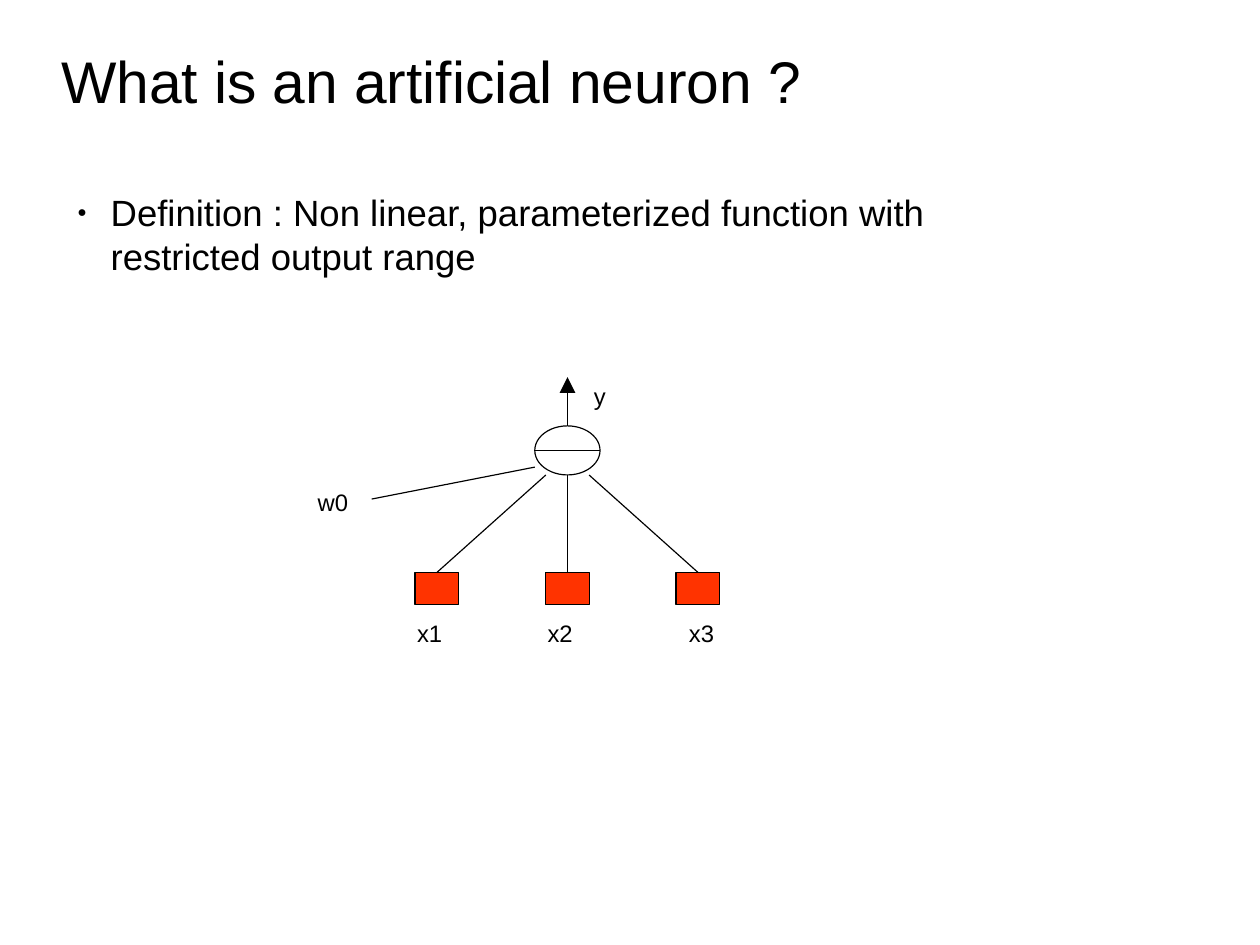
import pptx
import pptx.util
import pptx.dml.color
import pptx.enum.shapes
import pptx.enum.text
import pptx.oxml

Cm = pptx.util.Cm
Pt = pptx.util.Pt
MSO_SHAPE = pptx.enum.shapes.MSO_SHAPE
ANCHOR = pptx.enum.text.MSO_ANCHOR
BLACK = pptx.dml.color.RGBColor(0x00, 0x00, 0x00)
ORANGE_RED = pptx.dml.color.RGBColor(0xFF, 0x33, 0x00)
NS = 'xmlns:a="http://schemas.openxmlformats.org/drawingml/2006/main"'

TITLE = "What is an artificial neuron ?"
DEFINITION = "Definition : Non linear, parameterized function with restricted output range"
INPUTS = [("x1", 9.07), ("x2", 11.97), ("x3", 15.11)]
BIAS = ("w0", 6.86, 10.73, 1.52)
OUTPUT = ("y", 13.0, 8.38, 0.91)

CENTER_X, CENTER_Y = 12.61, 10.01
NEURON_W, NEURON_H = 1.45, 1.09
INPUT_W, INPUT_H, INPUT_TOP = 0.97, 0.72, 12.72
INPUT_STEP, ROOT_STEP = 2.9, 0.48
LABEL_TOP, LABEL_W, LABEL_H = 13.64, 1.32, 0.84

deck = pptx.Presentation()
deck.slide_width, deck.slide_height = Cm(28), Cm(21)
slide = deck.slides.add_slide(deck.slide_layouts[6])


def write(text, left, top, width, height, size, anchor=ANCHOR.TOP, wrap=True):
    box = slide.shapes.add_textbox(Cm(left), Cm(top), Cm(width), Cm(height))
    frame = box.text_frame
    frame.word_wrap = wrap
    frame.vertical_anchor = anchor
    frame.margin_left = frame.margin_right = Cm(0.2)
    frame.margin_top = frame.margin_bottom = Cm(0.1)
    paragraph = frame.paragraphs[0]
    run = paragraph.add_run()
    run.text = text
    run.font.name = "Arial"
    run.font.size = Pt(size)
    run.font.color.rgb = BLACK
    return paragraph


def add_bullet(paragraph):
    props = paragraph._p.get_or_add_pPr()
    props.set("marL", str(Cm(0.99)))
    props.set("indent", str(Cm(-0.74)))
    for tag in ('buClr {}><a:srgbClr val="000000"/></a:buClr>',
                'buSzPct {} val="43000"/>',
                'buFont {} typeface="Arial"/>',
                'buChar {} char="●"/>'):
        props.append(pptx.oxml.parse_xml("<a:" + tag.format(NS)))


def draw(kind, left, top, width, height, fill=None):
    shape = slide.shapes.add_shape(kind, Cm(left), Cm(top), Cm(width), Cm(height))
    shape.shadow.inherit = False
    if fill is None:
        shape.fill.background()
    else:
        shape.fill.solid()
        shape.fill.fore_color.rgb = fill
    shape.line.color.rgb = BLACK
    shape.line.width = Pt(0.75)
    return shape


def link(x1, y1, x2, y2, arrow=False):
    line = slide.shapes.add_connector(
        pptx.enum.shapes.MSO_CONNECTOR.STRAIGHT, Cm(x1), Cm(y1), Cm(x2), Cm(y2))
    line.line.color.rgb = BLACK
    line.line.width = Pt(0.75)
    if arrow:
        line.line._get_or_add_ln().append(
            pptx.oxml.parse_xml(f'<a:tailEnd {NS} type="triangle" w="lg" len="lg"/>'))
    line._element.spPr.append(pptx.oxml.parse_xml(f"<a:effectLst {NS}/>"))
    return line


write(TITLE, 1.16, 0.36, 22.86, 2.84, 37, ANCHOR.MIDDLE)
add_bullet(write(DEFINITION, 1.27, 4.13, 22.23, 2.87, 23))

neuron_left = CENTER_X - NEURON_W / 2
neuron_right = CENTER_X + NEURON_W / 2
neuron_top = CENTER_Y - NEURON_H / 2
neuron_bottom = CENTER_Y + NEURON_H / 2
draw(MSO_SHAPE.OVAL, neuron_left, neuron_top, NEURON_W, NEURON_H)

for index, (name, label_left) in enumerate(INPUTS):
    offset = index - 1
    x = CENTER_X + offset * INPUT_STEP
    square = draw(MSO_SHAPE.RECTANGLE, x - INPUT_W / 2, INPUT_TOP,
                  INPUT_W, INPUT_H, ORANGE_RED)
    synapse = link(x, INPUT_TOP, CENTER_X + offset * ROOT_STEP, neuron_bottom)
    synapse.begin_connect(square, 0)
    write(name, label_left, LABEL_TOP, LABEL_W, LABEL_H, 15, wrap=False)

link(8.26, 11.09, neuron_left, 10.38)
link(neuron_left, CENTER_Y, neuron_right, CENTER_Y)
link(CENTER_X, neuron_top, CENTER_X, 8.38, arrow=True)

for name, left, top, width in (BIAS, OUTPUT):
    write(name, left, top, width, LABEL_H, 15, wrap=False)

deck.save("out.pptx")
